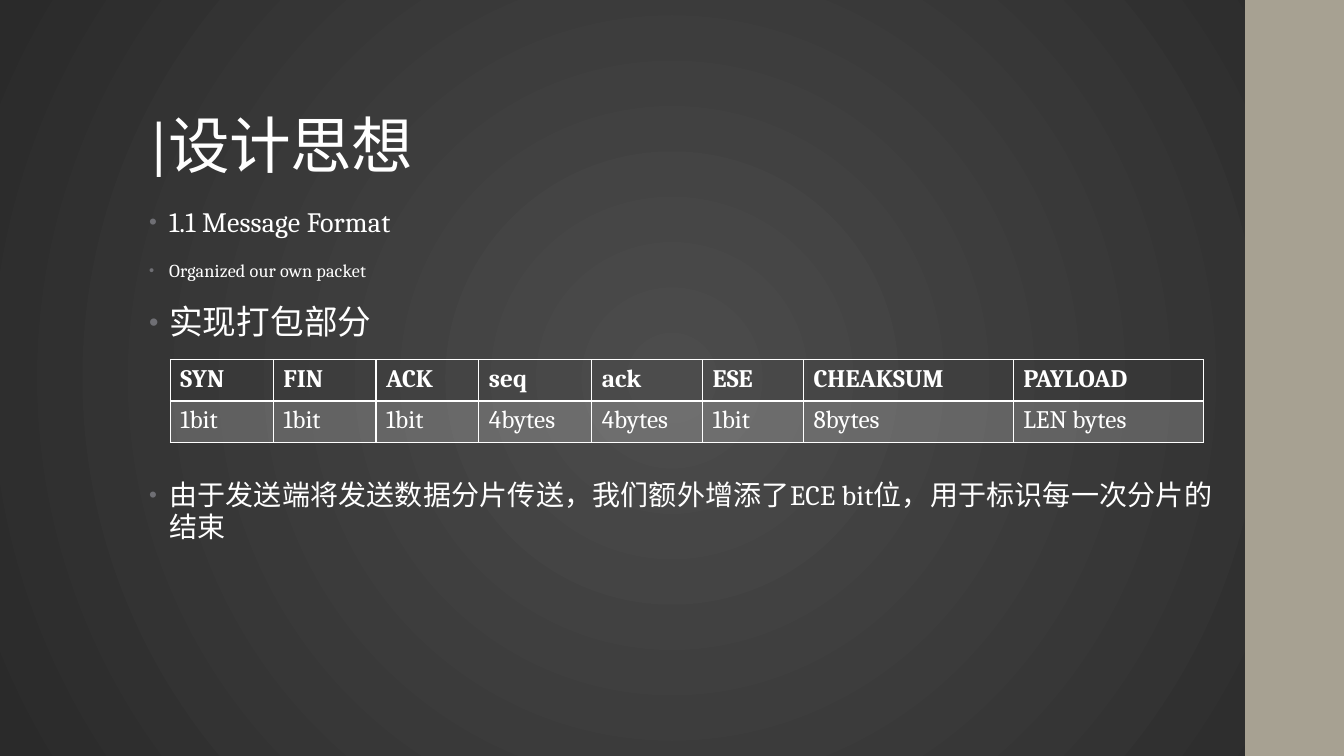
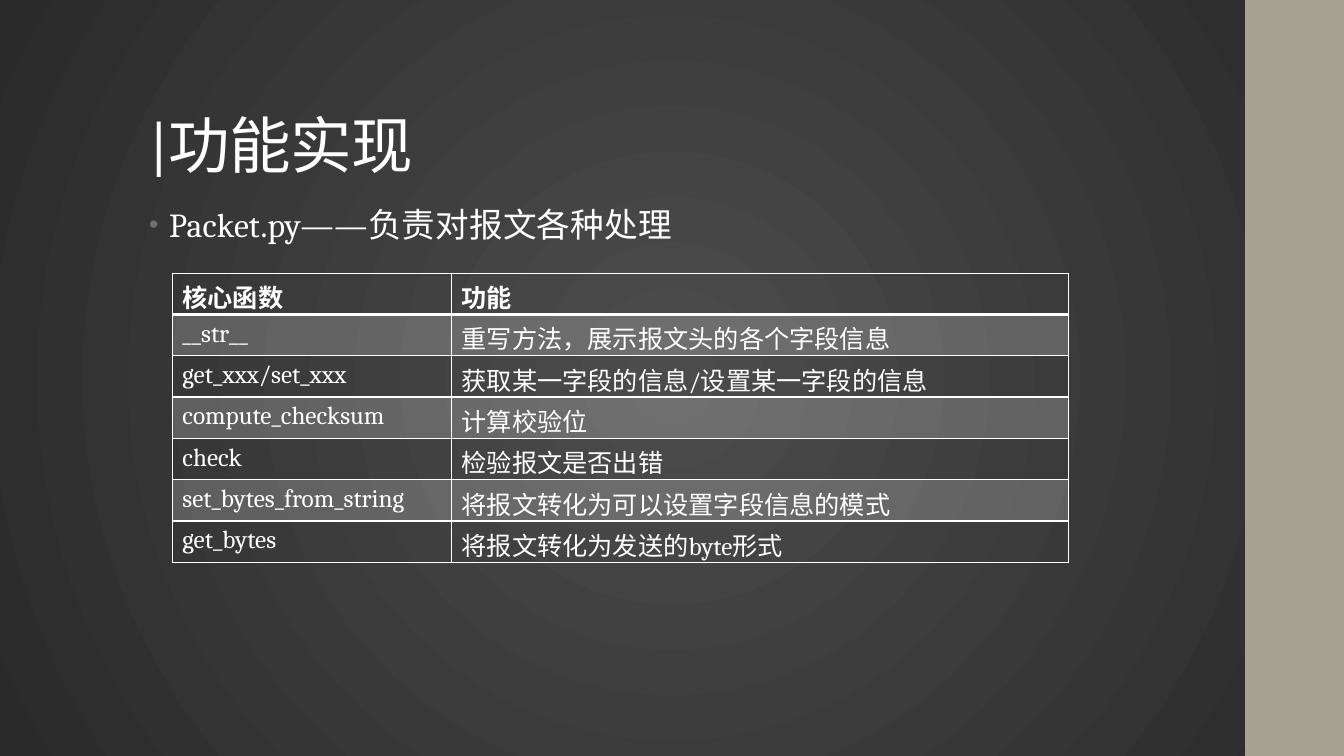
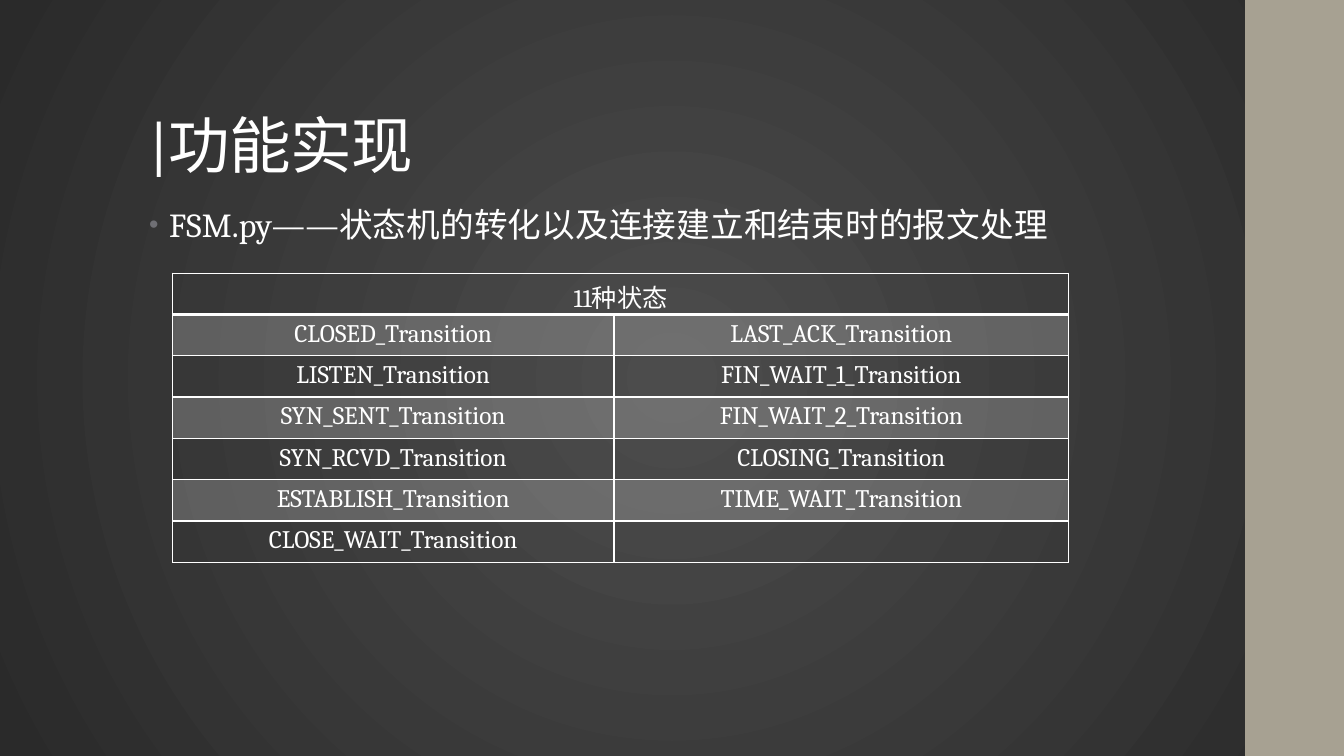
from pptx import Presentation
from pptx import util as u
from pptx.dml.color import RGBColor
from pptx.enum import shapes, text
from pptx.oxml import parse_xml
from pptx.oxml.ns import nsdecls, qn

FONT = "Cambria"
WHITE, BAND, BULLET = "FFFFFF", "A7A192", "6F6F74"
BACK_INNER, BACK_OUTER = "4C4C4C", "2A2A2A"
TITLE_BOX = (1.38, 0.4, 10.6, 1.45)
BODY_BOX = (1.38, 2, 9.54, 4.76)
WIDE_BODY_BOX = (1.38, 2, 10.76, 4.76)
ROW_HEIGHT = 0.41


def colour(value):
    return RGBColor.from_string(value)


def inches(values):
    return [u.Inches(value) for value in values]


def element(markup):
    """Parse a drawing element whose first tag still lacks its namespace."""
    name, rest = markup[1:].split(" ", 1)
    return parse_xml(f"<{name} {nsdecls('a')} {rest}")


def set_background(master):
    fill = master.background.fill
    fill.gradient()
    for stop, position, shade in zip(fill.gradient_stops, (0, 1),
                                     (BACK_INNER, BACK_OUTER)):
        stop.position = position
        stop.color.rgb = colour(shade)
    gradient = master.element.find(".//" + qn("a:gradFill"))
    gradient.replace(gradient.find(qn("a:lin")), element(
        '<a:path path="circle"><a:fillToRect l="100000" t="100000" '
        'r="100000" b="100000"/></a:path>'))


def add_span(para, words, size, bold=False, spacing=0):
    """Add one run; spacing is in hundredths of a point."""
    span = para.add_run()
    span.text = words
    span.font.name = FONT
    span.font.size = u.Pt(size)
    span.font.bold = bold
    span.font.color.rgb = colour(WHITE)
    if spacing:
        span.font._element.set("spc", str(spacing))


def add_frame(page, box, anchor):
    frame = page.shapes.add_textbox(*inches(box)).text_frame
    frame.word_wrap = True
    frame.vertical_anchor = anchor
    return frame


def add_page(deck, title):
    """Start a slide with the side band and its title."""
    page = deck.slides.add_slide(deck.slide_layouts[6])
    band = page.shapes.add_shape(shapes.MSO_SHAPE.RECTANGLE,
                                 *inches((12.35, 0, 0.98, 7.5)))
    band.shadow.inherit = False
    band.fill.solid()
    band.fill.fore_color.rgb = colour(BAND)
    band.line.fill.background()
    para = add_frame(page, TITLE_BOX, text.MSO_ANCHOR.BOTTOM).paragraphs[0]
    para.line_spacing = 0.9
    add_span(para, title, 44, spacing=-50)
    return page


def add_bullets(page, box, items):
    """Add bullets given as (words, size, space before)."""
    frame = add_frame(page, box, text.MSO_ANCHOR.TOP)
    for index, (words, size, before) in enumerate(items):
        para = frame.add_paragraph() if index else frame.paragraphs[0]
        para.line_spacing = 0.95
        para.space_before, para.space_after = u.Pt(before), u.Pt(2)
        props = para._p.get_or_add_pPr()
        props.set("marL", str(u.Inches(0.2)))
        props.set("indent", str(u.Inches(-0.2)))
        for markup in (f'<a:buClr ><a:srgbClr val="{BULLET}"/></a:buClr>',
                       '<a:buSzPct val="80000"/>',
                       '<a:buFont typeface="Arial"/>',
                       '<a:buChar char="•"/>'):
            props.append(element(markup))
        add_span(para, words, size, spacing=10)


def style_cell(cell, tinted, bottom):
    """Tint the cell if asked and draw its four borders."""
    props = cell._tc.get_or_add_tcPr()
    if tinted:
        cell.fill.solid()
        cell.fill.fore_color.rgb = colour(WHITE)
        props.find(".//" + qn("a:srgbClr")).append(
            element('<a:alpha val="20000"/>'))
    else:
        cell.fill.background()
    widths = {"lnL": 1, "lnR": 1, "lnT": 1, "lnB": bottom}
    for index, (side, width) in enumerate(widths.items()):
        props.insert(index, element(
            f'<a:{side} w="{u.Pt(width)}"><a:solidFill><a:srgbClr '
            f'val="{WHITE}"/></a:solidFill></a:{side}>'))


def add_grid(page, left, top, columns, rows, bold_header=True,
             align=text.PP_ALIGN.LEFT):
    """Add a table with a plain header and every other row tinted."""
    box = (left, top, sum(columns), ROW_HEIGHT * len(rows))
    table = page.shapes.add_table(len(rows), len(columns),
                                  *inches(box)).table
    table.first_row = table.horz_banding = False
    for column, width in zip(table.columns, columns):
        column.width = u.Inches(width)
    for row_index, row in enumerate(rows):
        header = row_index == 0
        for column_index, words in enumerate(row):
            cell = table.cell(row_index, column_index)
            style_cell(cell, row_index % 2 == 1, 2 if header else 1)
            para = cell.text_frame.paragraphs[0]
            para.alignment = align
            if words:
                add_span(para, words, 18, header and bold_header)
    return table


def add_message_format(deck):
    page = add_page(deck, "|设计思想")
    add_bullets(page, WIDE_BODY_BOX, [
        ("1.1 Message Format", 20, 14),
        ("Organized our own packet", 13, 14),
        ("实现打包部分", 24, 14),
        ("由于发送端将发送数据分片传送，我们额外增添了ECE bit位，"
         "用于标识每一次分片的结束", 20, 96),
    ])
    add_grid(page, 1.69, 3.57,
             (1.02, 1.02, 1.02, 1.12, 1.1, 1, 2.08, 1.89), [
                 ("SYN", "FIN", "ACK", "seq", "ack", "ESE",
                  "CHEAKSUM", "PAYLOAD"),
                 ("1bit", "1bit", "1bit", "4bytes", "4bytes", "1bit",
                  "8bytes", "LEN bytes"),
             ])


def add_packet_functions(deck):
    page = add_page(deck, "|功能实现")
    add_bullets(page, BODY_BOX, [("Packet.py——负责对报文各种处理", 24, 14)])
    add_grid(page, 1.71, 2.71, (2.77, 6.12), [
        ("核心函数", "功能"),
        ("__str__", "重写方法，展示报文头的各个字段信息"),
        ("get_xxx/set_xxx", "获取某一字段的信息/设置某一字段的信息"),
        ("compute_checksum", "计算校验位"),
        ("check", "检验报文是否出错"),
        ("set_bytes_from_string", "将报文转化为可以设置字段信息的模式"),
        ("get_bytes", "将报文转化为发送的byte形式"),
    ])


def add_state_machine(deck):
    page = add_page(deck, "|功能实现")
    add_bullets(page, BODY_BOX, [
        ("FSM.py——状态机的转化以及连接建立和结束时的报文处理", 24, 14)])
    states = [
        ("CLOSED", "LAST_ACK"),
        ("LISTEN", "FIN_WAIT_1"),
        ("SYN_SENT", "FIN_WAIT_2"),
        ("SYN_RCVD", "CLOSING"),
        ("ESTABLISH", "TIME_WAIT"),
        ("CLOSE_WAIT", ""),
    ]
    rows = [[name and f"{name}_Transition" for name in pair]
            for pair in states]
    table = add_grid(page, 1.71, 2.71, (4.38, 4.51),
                     [("11种状态", ""), *rows], bold_header=False,
                     align=text.PP_ALIGN.CENTER)
    table.cell(0, 0).merge(table.cell(0, 1))


def main():
    deck = Presentation()
    deck.slide_width, deck.slide_height = inches((13.33, 7.5))
    set_background(deck.slide_master)
    add_message_format(deck)
    add_packet_functions(deck)
    add_state_machine(deck)
    deck.save("out.pptx")


if __name__ == "__main__":
    main()
